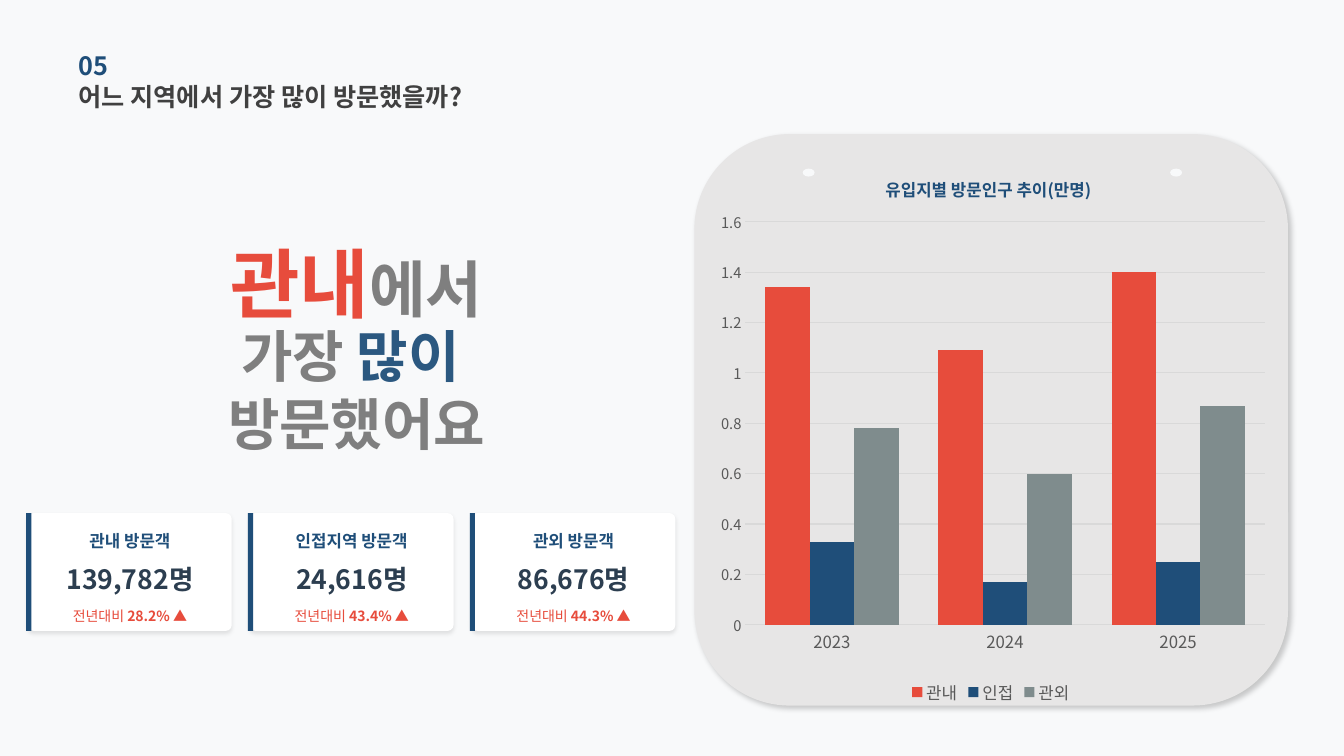
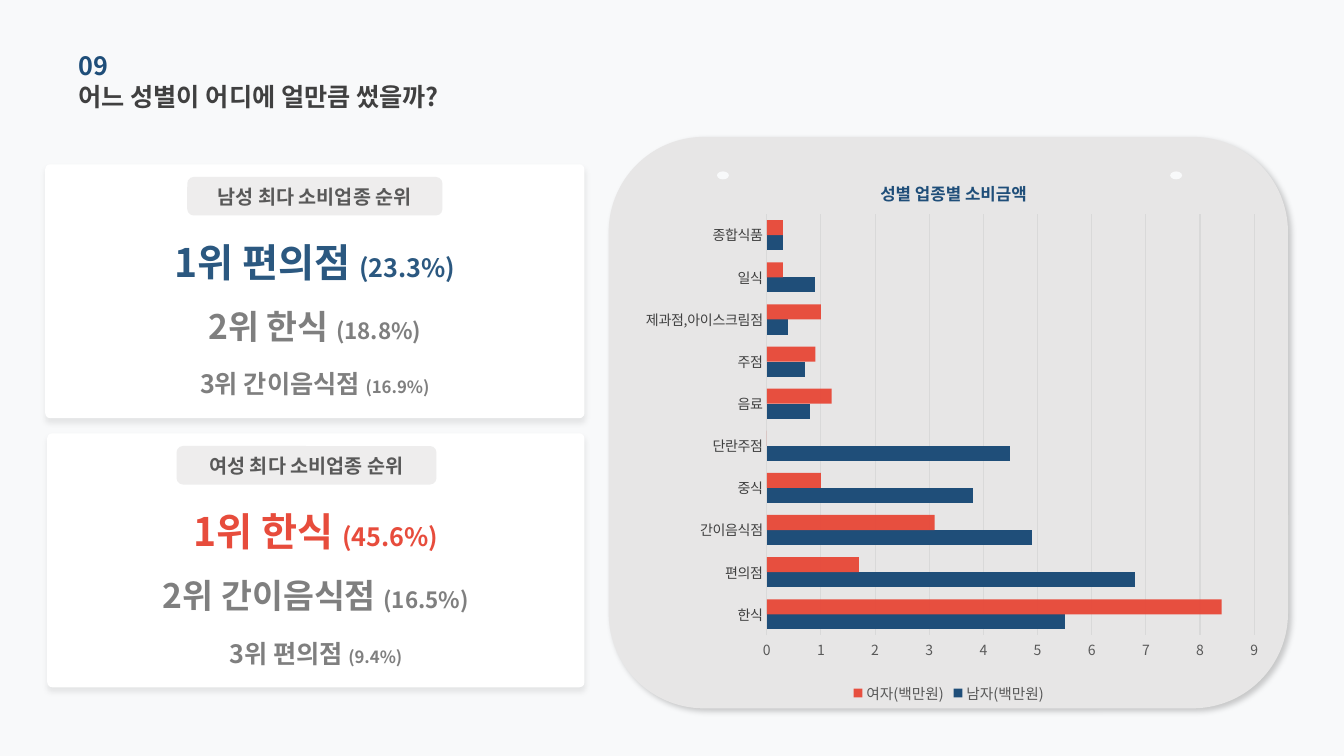
"""Build two visitor-statistics slides with headings, cards and bar charts."""
import dataclasses
import typing

import lxml.etree
import pptx
import pptx.chart.data
import pptx.dml.color
import pptx.enum.chart
import pptx.enum.shapes
import pptx.enum.text
import pptx.oxml.ns
import pptx.util

Cm = pptx.util.Cm
Pt = pptx.util.Pt
qn = pptx.oxml.ns.qn
Preset = pptx.enum.shapes.MSO_SHAPE
Align = pptx.enum.text.PP_ALIGN
ChartType = pptx.enum.chart.XL_CHART_TYPE

FONT = "Noto Sans CJK KR"
COLORS = {
    "background": "F8F9FA", "panel": "E7E6E6", "card": "FFFFFF", "pill": "D0CECE",
    "heading": "404040", "navy": "1F4E79", "blue": "2B5880", "red": "E74C3C",
    "gray": "7F7F7F", "label": "595959", "number": "2C3E50", "slate": "7F8C8D",
    "grid": "D9D9D9", "shadow": "000000",
}


class Box(typing.NamedTuple):
    left: float
    top: float
    width: float
    height: float

    def lengths(self) -> list:
        return [Cm(value) for value in self]


class Span(typing.NamedTuple):
    words: str
    size: float
    color: str
    bold: bool = True


class Shadow(typing.NamedTuple):
    opacity: int
    blur: int
    distance: int
    angle: int


class Series(typing.NamedTuple):
    name: str
    values: tuple
    color: str
    opacity: int = 100


@dataclasses.dataclass
class Stat:
    label: str
    count: str
    change: str


@dataclasses.dataclass
class Ranking:
    card: Box
    pill_left: float
    pill_width: float
    title: str
    color: str
    ranks: tuple


@dataclasses.dataclass
class BarChart:
    kind: typing.Any
    box: Box
    title: str
    title_place: tuple
    plot_place: tuple
    categories: tuple
    series: tuple
    gap: int
    maximum: float
    step: float
    category_font: tuple
    value_size: float
    legend_size: float


PANEL_SHADOW = Shadow(20, 4, 3, 45)
STAT_SHADOW = Shadow(10, 3, 2, 90)
RANKING_SHADOW = Shadow(8, 4, 3, 90)

STATS = (
    Stat("관내 방문객", "139,782명", "28.2% ▲"),
    Stat("인접지역 방문객", "24,616명", "43.4% ▲"),
    Stat("관외 방문객", "86,676명", "44.3% ▲"),
)
RANKINGS = (
    Ranking(Box(1.14, 4.14, 13.59, 6.4), 4.72, 6.43, "남성 최다 소비업종 순위", "blue",
            (("편의점", "23.3%"), ("한식", "18.8%"), ("간이음식점", "16.9%"))),
    Ranking(Box(1.19, 10.92, 13.54, 6.4), 4.45, 6.55, "여성 최다 소비업종 순위", "red",
            (("한식", "45.6%"), ("간이음식점", "16.5%"), ("편의점", "9.4%"))),
)
RANK_ROWS = ((1.85, 1.22, 28, 18), (3.02, 2.13, 24, 16), (4.47, 2.13, 18, 12))

VISITORS = BarChart(
    ChartType.COLUMN_CLUSTERED, Box(17.78, 3.76, 14.38, 14.1),
    "유입지별 방문인구 추이(만명)", (0.31, 0.04), (0.07, 0.13, 0.91, 0.72),
    ("2023", "2024", "2025"),
    (Series("관내", (1.34, 1.09, 1.4), "red"),
     Series("인접", (0.33, 0.17, 0.25), "navy"),
     Series("관외", (0.78, 0.6, 0.87), "slate")),
    90, 1.6, 0.2, (12, "label"), 10.5, 12)
SPENDING = BarChart(
    ChartType.BAR_CLUSTERED, Box(15.72, 3.86, 16.38, 13.97),
    "성별 업종별 소비금액", (0.39, 0.04), (0.22, 0.11, 0.75, 0.76),
    ("한식", "편의점", "간이음식점", "중식", "단란주점", "음료", "주점",
     "제과점,아이스크림점", "일식", "종합식품"),
    (Series("남자(백만원)", (5.5, 6.8, 4.9, 3.8, 4.5, 0.8, 0.7, 0.4, 0.9, 0.3), "navy"),
     Series("여자(백만원)", (8.4, 1.7, 3.1, 1, 0, 1.2, 0.9, 1, 0.3, 0.3), "red", 98)),
    80, 9, 1, (10, "heading"), 10, 10.5)


def rgb(color: str) -> pptx.dml.color.RGBColor:
    return pptx.dml.color.RGBColor.from_string(COLORS[color])


def apply(target: typing.Any, formats: dict) -> None:
    for name, value in formats.items():
        setattr(target, name, value)


def add_element(parent: typing.Any, tag: str, **attributes: typing.Any) -> typing.Any:
    values = {name: str(value) for name, value in attributes.items()}
    return lxml.etree.SubElement(parent, qn(tag), values)


def style_font(font: typing.Any, size: float, color: str, bold: bool = False) -> None:
    apply(font, {"name": FONT, "size": Pt(size), "bold": bold})
    font.color.rgb = rgb(color)
    add_element(font._rPr, "a:ea", typeface=FONT)


def paint(fill: typing.Any, color: str, owner: typing.Any, opacity: int = 100) -> None:
    fill.solid()
    fill.fore_color.rgb = rgb(color)
    if opacity < 100:
        tint = owner.find(qn("a:solidFill"))[0]
        add_element(tint, "a:alpha", val=opacity * 1000)


def add_shape(shapes: typing.Any, preset: typing.Any, box: Box, color: str,
              corner: typing.Optional[float] = None, shadow: typing.Optional[Shadow] = None,
              opacity: int = 100) -> typing.Any:
    shape = shapes.add_shape(preset, *box.lengths())
    properties = shape._element.spPr
    paint(shape.fill, color, properties, opacity)
    shape.line.fill.background()
    shape.shadow.inherit = False
    if corner is not None:
        shape.adjustments[0] = corner
    if shadow:
        outer = add_element(properties.find(qn("a:effectLst")), "a:outerShdw",
                            blurRad=Pt(shadow.blur), dist=Pt(shadow.distance),
                            dir=shadow.angle * 60000, algn="tl", rotWithShape=0)
        tint = add_element(outer, "a:srgbClr", val=COLORS["shadow"])
        add_element(tint, "a:alpha", val=shadow.opacity * 1000)
    return shape


def write(shape: typing.Any, *lines: list, align: typing.Any = Align.CENTER) -> None:
    frame = shape.text_frame
    apply(frame, {"word_wrap": True, "margin_left": 0, "margin_right": 0, "margin_top": 0,
                  "margin_bottom": 0, "vertical_anchor": pptx.enum.text.MSO_ANCHOR.MIDDLE})
    for index, line in enumerate(lines):
        para = frame.add_paragraph() if index else frame.paragraphs[0]
        para.alignment = align
        for span in line:
            run = para.add_run()
            run.text = span.words
            style_font(run.font, span.size, span.color, span.bold)


def add_text(shapes: typing.Any, box: Box, *lines: list,
             align: typing.Any = Align.CENTER) -> None:
    write(shapes.add_textbox(*box.lengths()), *lines, align=align)


def add_page(deck: typing.Any, number: str, question: str, panel: Box) -> typing.Any:
    page = deck.slides.add_slide(deck.slide_layouts[6])
    add_shape(page.shapes, Preset.ROUNDED_RECTANGLE, panel, "panel", shadow=PANEL_SHADOW)
    for left in (panel.left + 2.73, panel.left + panel.width - 2.97):
        add_shape(page.shapes, Preset.OVAL, Box(left, panel.top + 0.87, 0.3, 0.2), "background")
    for top, words, color in ((1.12, number, "navy"), (1.91, question, "heading")):
        add_text(page.shapes, Box(1.98, top, 13.41, 1.04), [Span(words, 18, color)],
                 align=Align.LEFT)
    return page


def add_stat(shapes: typing.Any, stat: Stat, card: Box) -> None:
    add_shape(shapes, Preset.ROUNDED_RECTANGLE, card, "card", 0.05, STAT_SHADOW)
    add_shape(shapes, Preset.RECTANGLE, Box(card.left - 0.05, card.top, 0.13, card.height), "navy")
    rows = (
        (0.41, 0.56, [Span(stat.label, 12, "navy")]),
        (1.22, 0.86, [Span(stat.count, 19, "number")]),
        (2.34, 0.51, [Span("전년대비 ", 10, "red", False), Span(stat.change, 10, "red")]),
    )
    for offset, height, line in rows:
        add_text(shapes, Box(card.left, card.top + offset, card.width, height), line)


def add_ranking(page: typing.Any, ranking: Ranking) -> None:
    shapes = page.shapes.add_group_shape().shapes
    card = ranking.card
    add_shape(shapes, Preset.ROUNDED_RECTANGLE, card, "card", 0.02, RANKING_SHADOW)
    pill = Box(ranking.pill_left, card.top + 0.32, ranking.pill_width, 0.97)
    write(add_shape(shapes, Preset.ROUNDED_RECTANGLE, pill, "pill", opacity=36),
          [Span(ranking.title, 14, "label")])
    for place, (row, rank) in enumerate(zip(RANK_ROWS, ranking.ranks), 1):
        offset, height, size, share_size = row
        name, share = rank
        color = ranking.color if place == 1 else "gray"
        add_text(shapes, Box(card.left, card.top + offset, card.width, height),
                 [Span(f"{place}위 {name} ", size, color), Span(f"({share})", share_size, color)])


def set_layout(parent: typing.Any, index: int, place: tuple) -> None:
    for old in parent.findall(qn("c:layout")):
        parent.remove(old)
    layout = lxml.etree.Element(qn("c:layout"))
    manual = add_element(layout, "c:manualLayout")
    if len(place) == 4:
        add_element(manual, "c:layoutTarget", val="inner")
    for tag in ("c:xMode", "c:yMode"):
        add_element(manual, tag, val="edge")
    for tag, value in zip("xywh", place):
        add_element(manual, f"c:{tag}", val=value)
    parent.insert(index, layout)


def add_bars(page: typing.Any, bars: BarChart) -> None:
    data = pptx.chart.data.CategoryChartData()
    data.categories = bars.categories
    for series in bars.series:
        data.add_series(series.name, series.values)
    chart = page.shapes.add_chart(bars.kind, *bars.box.lengths(), data).chart
    style_font(chart.font, 10, "label")

    frame = chart.chart_title.text_frame
    run = frame.paragraphs[0].add_run()
    run.text = bars.title
    style_font(run.font, 12, "navy", True)
    set_layout(chart.chart_title._element, 1, bars.title_place)
    set_layout(chart._chartSpace.chart.plotArea, 0, bars.plot_place)

    chart.has_legend = True
    apply(chart.legend, {"position": pptx.enum.chart.XL_LEGEND_POSITION.BOTTOM,
                         "include_in_layout": False})
    style_font(chart.legend.font, bars.legend_size, "label")

    plot = chart.plots[0]
    apply(plot, {"gap_width": bars.gap, "overlap": 0, "vary_by_categories": False})
    for drawn, series in zip(plot.series, bars.series):
        drawn.invert_if_negative = False
        paint(drawn.format.fill, series.color, drawn._element.get_or_add_spPr(), series.opacity)

    values, categories = chart.value_axis, chart.category_axis
    apply(values, {"minimum_scale": 0, "maximum_scale": bars.maximum, "major_unit": bars.step})
    values.format.line.fill.background()
    for line in (values.major_gridlines.format.line, categories.format.line):
        line.color.rgb = rgb("grid")
        line.width = Pt(0.75)
    for axis in (values, categories):
        axis.major_tick_mark = pptx.enum.chart.XL_TICK_MARK.NONE
    style_font(values.tick_labels.font, bars.value_size, "label")
    style_font(categories.tick_labels.font, *bars.category_font)


def main() -> None:
    deck = pptx.Presentation()
    apply(deck, {"slide_width": Cm(33.87), "slide_height": Cm(19.05)})
    backdrop = deck.slide_master.background.fill
    backdrop.solid()
    backdrop.fore_color.rgb = rgb("background")

    page = add_page(deck, "05", "어느 지역에서 가장 많이 방문했을까?", Box(17.5, 3.38, 14.96, 14.4))
    add_text(page.shapes, Box(3.53, 6.5, 10.9, 1.22),
             [Span("관내", 54, "red"), Span("에서", 44, "gray")])
    add_text(page.shapes, Box(1.98, 8.74, 14.02, 2.13),
             [Span("가장", 40, "gray"), Span(" 많이 ", 40, "blue")],
             [Span("방문했어요", 40, "gray")])
    for index, stat in enumerate(STATS):
        add_stat(page.shapes, stat, Box(0.71 + index * 5.59, 12.93, 5.13, 2.97))
    add_bars(page, VISITORS)

    page = add_page(deck, "09", "어느 성별이 어디에 얼만큼 썼을까?", Box(15.34, 3.45, 17.12, 14.4))
    for ranking in RANKINGS:
        add_ranking(page, ranking)
    add_bars(page, SPENDING)
    deck.save("out.pptx")


if __name__ == "__main__":
    main()
